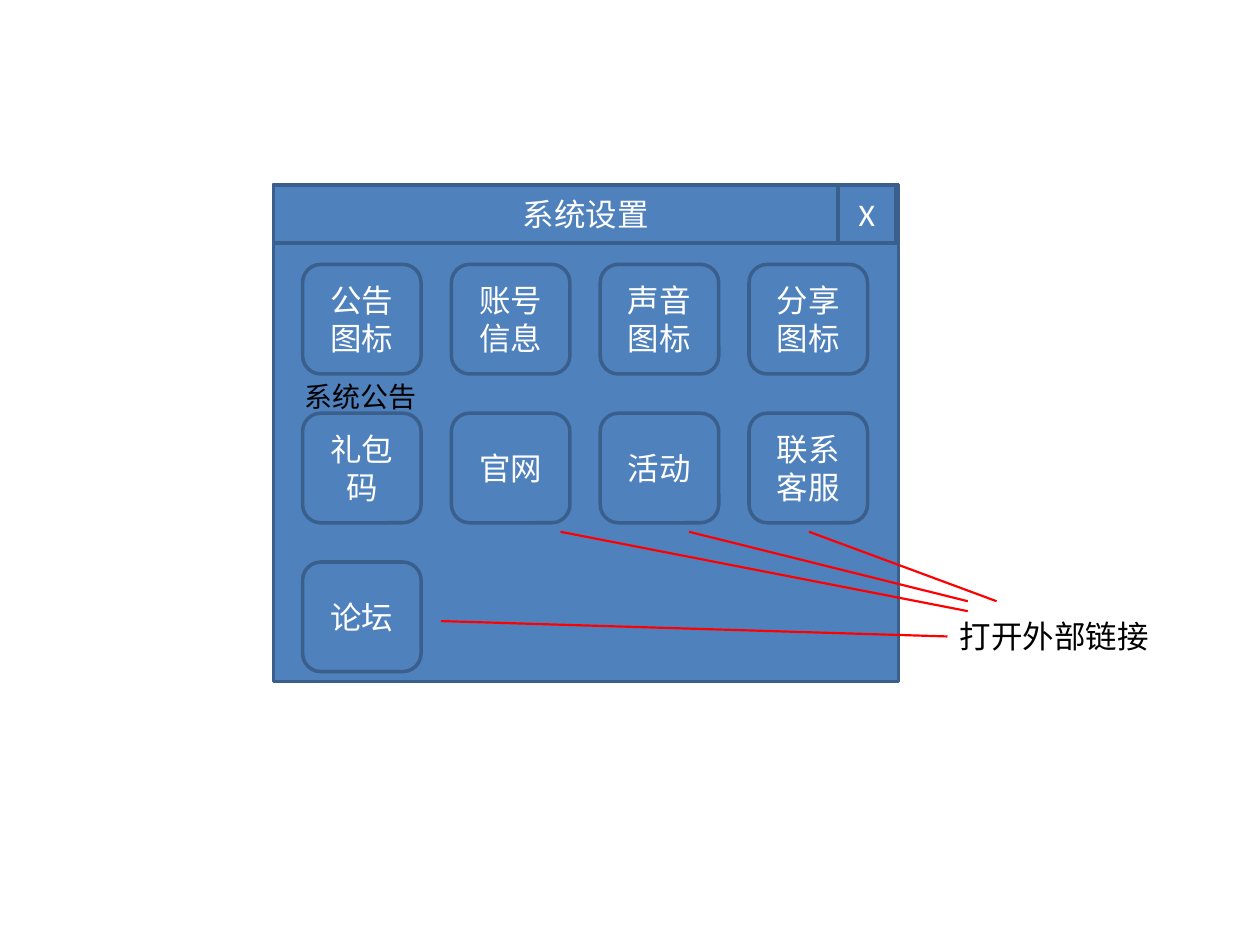
from lxml import etree
from pptx import Presentation, util as u
from pptx.dml.color import RGBColor
from pptx.enum import shapes, text
from pptx.oxml import ns

THEME = {
    "font": "Calibri", "body": 18, "note": 16,
    "fill": "4F81BD", "edge": "3A5F8C", "light": "FFFFFF",
    "dark": "000000", "link": "FF0000",
    "border": 2, "stroke": 1.25,
}

TITLE = "系统设置"
CLOSE = "X"
ICONS = [
    ["公告图标", "账号信息", "声音图标", "分享图标"],
    ["礼包码", "官网", "活动", "联系客服"],
    ["论坛"],
]
NOTES = [
    ("系统公告", (5.89, 7.52, 3, 0.94), THEME["note"]),
    ("打开外部链接", (19.1, 12.32, 5.21, 1.02), THEME["body"]),
]
LINKS = [
    (11.3, 10.72, 19.51, 12.32),
    (13.89, 10.72, 19.51, 12.12),
    (16.31, 10.72, 20.09, 12.12),
    (8.89, 12.52, 19.1, 12.83),
]

LEFT, TOP, WIDTH, HEIGHT = 5.51, 3.73, 12.6, 10.01
BAR = 1.17
GRID_X, GRID_Y, PITCH = 6.1, 5.33, 3
ICON_W, ICON_H = 2.39, 2.21


def color(key):
    return RGBColor.from_string(THEME[key])


def cm(nums):
    return [u.Cm(n) for n in nums]


def write(frame, words, size=THEME["body"], tint="light",
          align=text.PP_ALIGN.CENTER, anchor=text.MSO_ANCHOR.MIDDLE):
    frame.word_wrap = True
    frame.vertical_anchor = anchor
    para = frame.paragraphs[0]
    para.alignment = align
    run = para.add_run()
    run.text = words
    run.font.name = THEME["font"]
    run.font.size = u.Pt(size)
    run.font.color.rgb = color(tint)


def block(slide, box, words="", kind=shapes.MSO_SHAPE.RECTANGLE):
    shape = slide.shapes.add_shape(kind, *cm(box))
    shape.shadow.inherit = False
    shape.fill.solid()
    shape.fill.fore_color.rgb = color("fill")
    shape.line.color.rgb = color("edge")
    shape.line.width = u.Pt(THEME["border"])
    if words:
        write(shape.text_frame, words)


def note(slide, words, box, size):
    frame = slide.shapes.add_textbox(*cm(box)).text_frame
    write(frame, words, size=size, tint="dark",
          align=text.PP_ALIGN.LEFT, anchor=text.MSO_ANCHOR.TOP)
    frame.auto_size = text.MSO_AUTO_SIZE.SHAPE_TO_FIT_TEXT


def link(slide, ends):
    line = slide.shapes.add_connector(shapes.MSO_CONNECTOR.STRAIGHT, *cm(ends))
    line.line.color.rgb = color("link")
    line.line.width = u.Pt(THEME["stroke"])
    etree.SubElement(line._element.spPr, ns.qn("a:effectLst"))


def main():
    deck = Presentation()
    deck.slide_width, deck.slide_height = cm((25.4, 19.05))
    slide = deck.slides.add_slide(deck.slide_layouts[6])

    block(slide, (LEFT, TOP, WIDTH, HEIGHT))
    block(slide, (LEFT, TOP, WIDTH, BAR), TITLE)
    for row, names in enumerate(ICONS):
        for col, name in enumerate(names):
            box = (GRID_X + col * PITCH, GRID_Y + row * PITCH, ICON_W, ICON_H)
            block(slide, box, name, shapes.MSO_SHAPE.ROUNDED_RECTANGLE)
    block(slide, (LEFT + WIDTH - BAR - 0.05, TOP, BAR, BAR), CLOSE)

    for item in NOTES:
        note(slide, *item)
    for ends in LINKS:
        link(slide, ends)

    deck.save("out.pptx")


if __name__ == "__main__":
    main()
